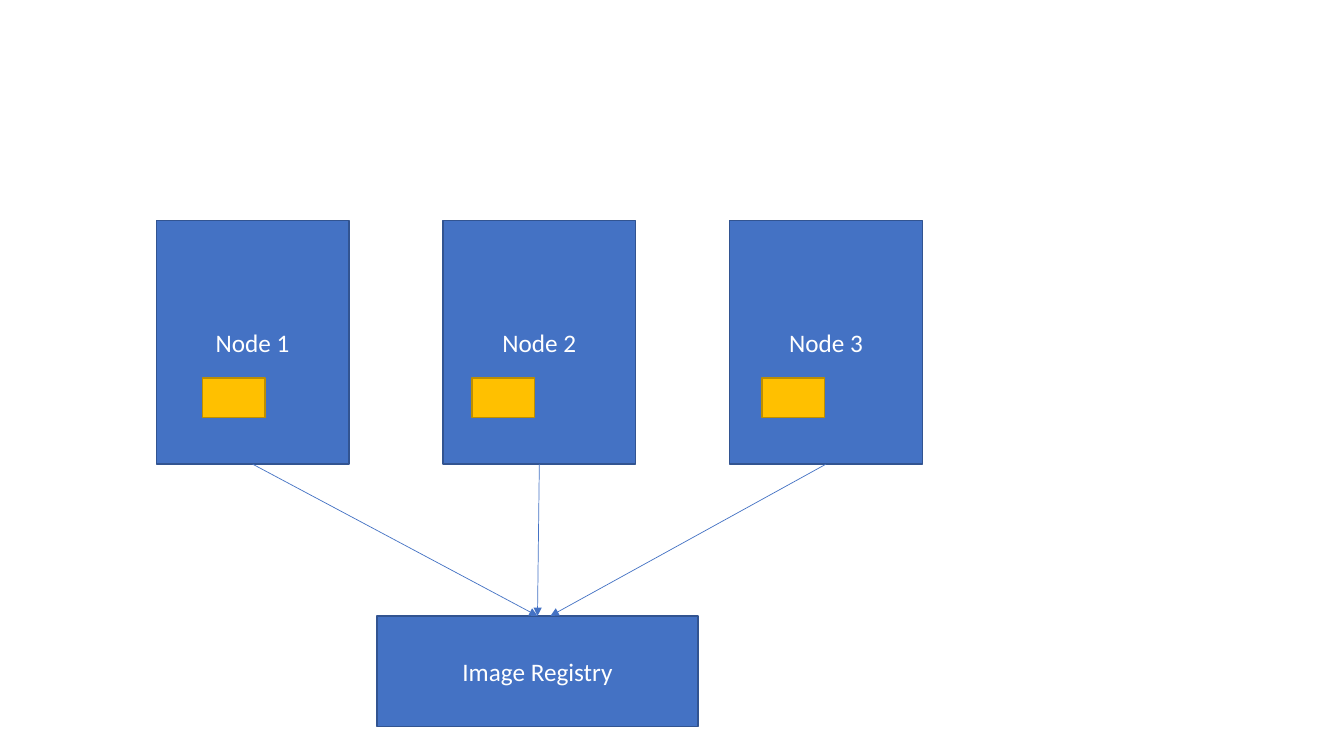
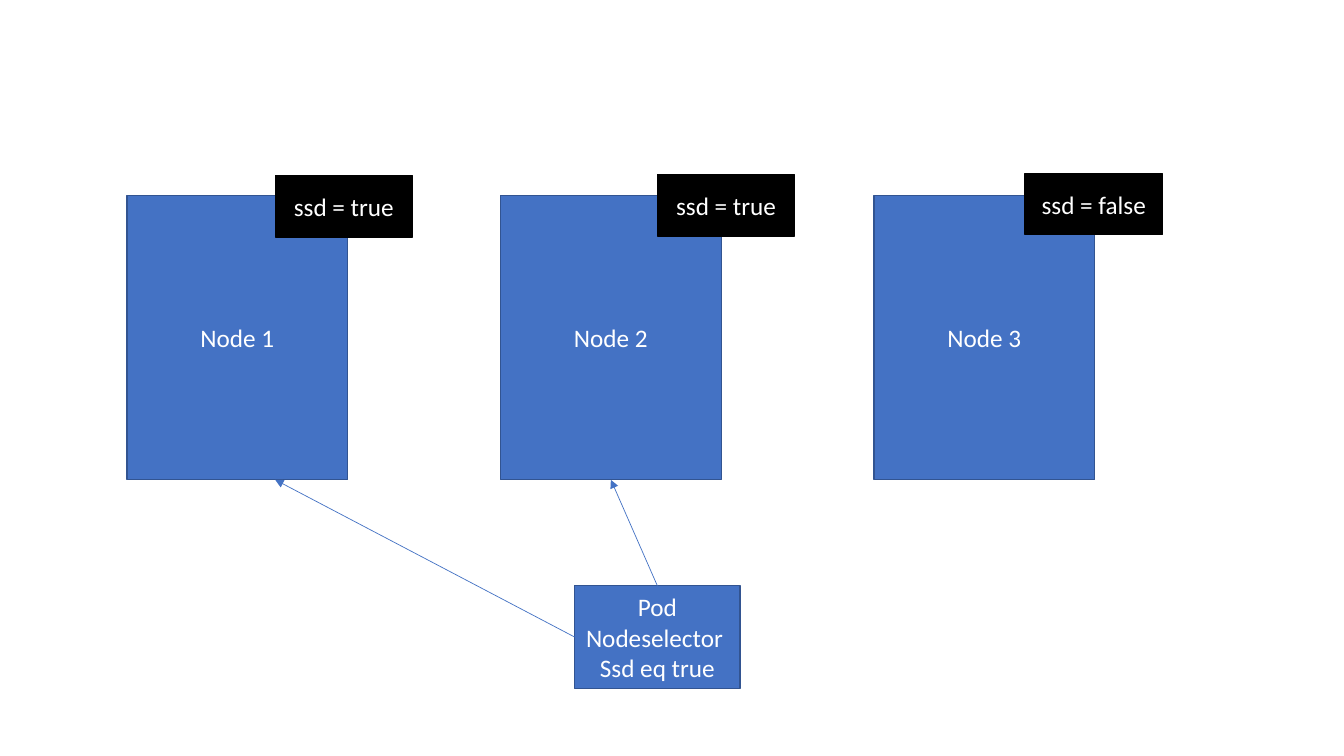
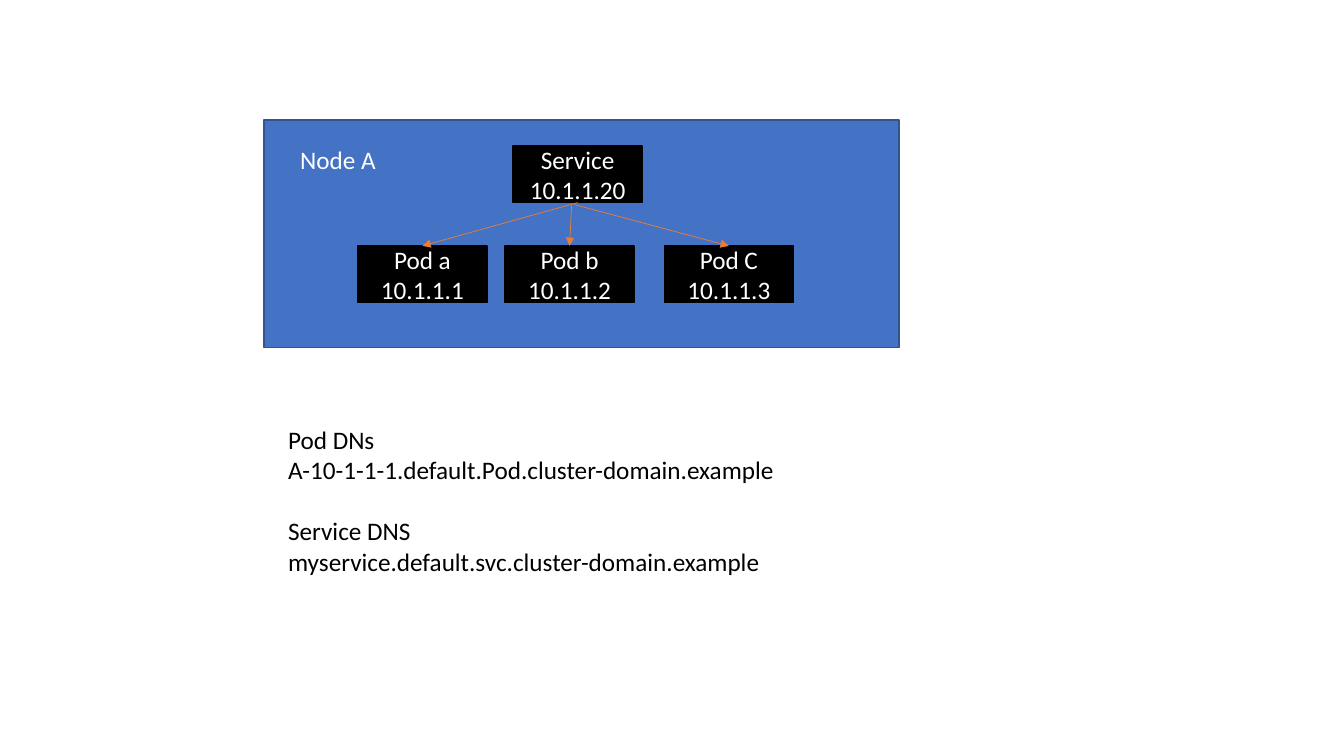
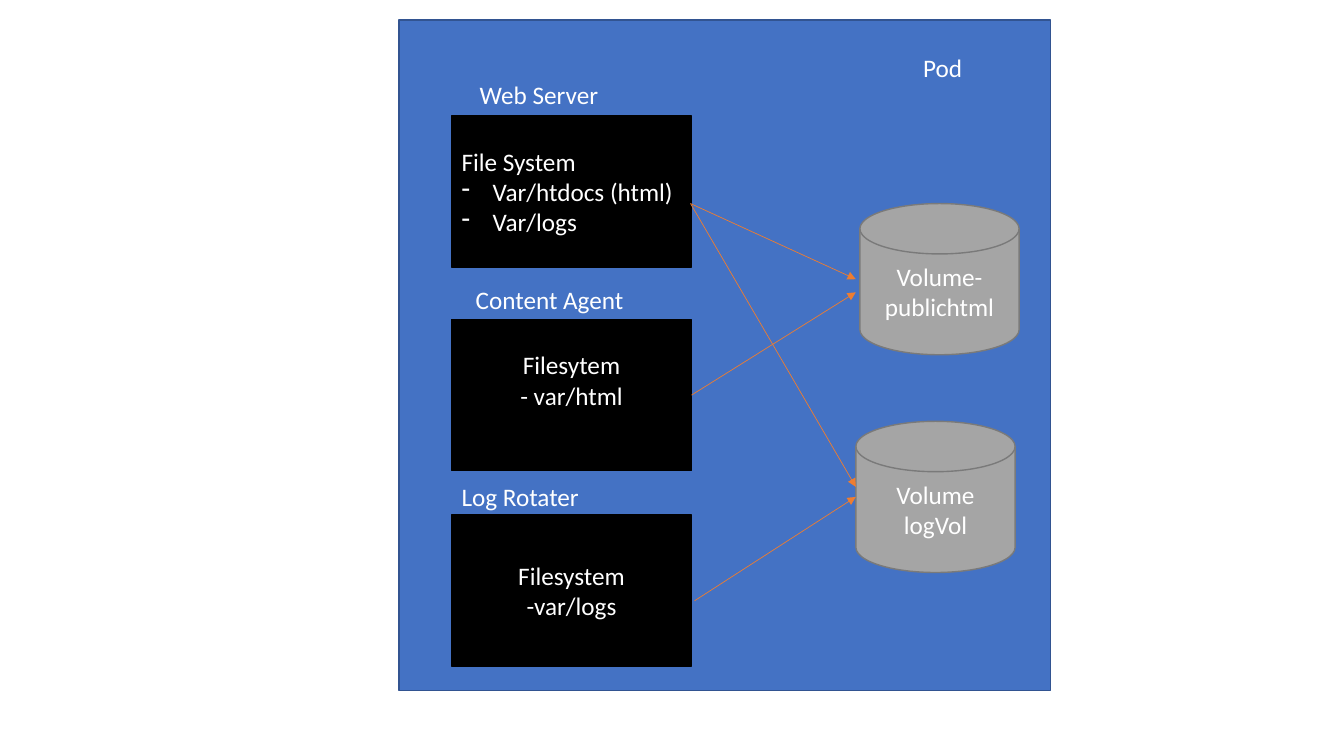
from dataclasses import dataclass

from lxml import etree
from pptx import Presentation
from pptx.dml.color import RGBColor
from pptx.enum.shapes import MSO_CONNECTOR, MSO_SHAPE
from pptx.enum.text import MSO_ANCHOR, PP_ALIGN
from pptx.oxml.ns import qn
from pptx.util import Inches, Pt

RECT = MSO_SHAPE.RECTANGLE
DISK = MSO_SHAPE.FLOWCHART_MAGNETIC_DISK
LINE = MSO_CONNECTOR.STRAIGHT
LEFT, CENTER = PP_ALIGN.LEFT, PP_ALIGN.CENTER
MIDDLE = MSO_ANCHOR.MIDDLE
TOP, WEST, BOTTOM, EAST = range(4)


@dataclass(frozen=True)
class Theme:
    font: str = "Calibri"
    size: float = 18
    edge: float = 1
    wire: float = 0.5
    white: str = "FFFFFF"
    ink: str = "000000"
    accent: str = "4472C4"
    orange: str = "ED7D31"
    blue: tuple = ("4472C4", "325491")
    black: tuple = ("000000", "000000")
    gold: tuple = ("FFC000", "BD8E00")
    gray: tuple = ("A5A5A5", "7A7A7A")


theme = Theme()
deck = Presentation()
deck.slide_width, deck.slide_height = Inches(13.333), Inches(7.5)
col, row = deck.slide_width / 100, deck.slide_height / 100


def box(slide, at, text="", paint=None, kind=RECT, align=CENTER, ink=theme.white):
    x, y, w, h = at
    place = round(x * col), round(y * row), round(w * col), round(h * row)
    if paint:
        shape = slide.shapes.add_shape(kind, *place)
        shape.shadow.inherit = False
        shape.fill.solid()
        shape.fill.fore_color.rgb = RGBColor.from_string(paint[0])
        shape.line.color.rgb = RGBColor.from_string(paint[1])
        shape.line.width = Pt(theme.edge)
        shape.text_frame.vertical_anchor = MIDDLE
    else:
        shape = slide.shapes.add_textbox(*place)
    if text:
        frame = shape.text_frame
        frame.word_wrap = True
        frame.text = text
        for para in frame.paragraphs:
            para.alignment = align
            for run in para.runs:
                run.font.name = theme.font
                run.font.size = Pt(theme.size)
                run.font.color.rgb = RGBColor.from_string(ink)
    return shape


def arrow(slide, start, end, color):
    wire = slide.shapes.add_connector(LINE, 0, 0, 0, 0)
    if isinstance(start[0], float):
        wire.begin_x, wire.begin_y = round(start[0] * col), round(start[1] * row)
    else:
        wire.begin_connect(*start)
    if isinstance(end[0], float):
        wire.end_x, wire.end_y = round(end[0] * col), round(end[1] * row)
    else:
        wire.end_connect(*end)
    wire.line.color.rgb = RGBColor.from_string(color)
    wire.line.width = Pt(theme.wire)
    props = wire.line._get_or_add_ln()
    etree.SubElement(props, qn("a:tailEnd"), type="triangle")
    etree.SubElement(wire._element.spPr, qn("a:effectLst"))


blank = deck.slide_layouts[6]

slide = deck.slides.add_slide(blank)
nodes = [
    box(slide, (11.63 + 21.33 * i, 29.2, 14.34, 32.2), f"Node {i + 1}", theme.blue)
    for i in range(3)
]
store = box(slide, (28.06, 81.47, 23.87, 14.67), "Image Registry", theme.blue)
for node, end in zip(nodes, [(store, TOP), (store, TOP), (40.96, 81.47)]):
    arrow(slide, (node, BOTTOM), end, theme.accent)
for x in (15.08, 35.12, 56.7):
    box(slide, (x, 50, 4.65, 5.2), paint=theme.gold)

slide = deck.slides.add_slide(blank)
nodes = [
    box(slide, (9.45 + 27.79 * i, 25.87, 16.43, 37.6), f"Node {i + 1}", theme.blue)
    for i in range(3)
]
pod = box(slide, (42.76, 77.47, 12.3, 13.6), "Pod\nNodeselector \nSsd eq true", theme.blue)
for x, y, state in ((20.48, 23.2, "true"), (48.92, 23.07, "true"), (76.28, 22.93, "false")):
    box(slide, (x, y, 10.2, 8.13), f"ssd = {state}", theme.black)
arrow(slide, (pod, WEST), (20.48, 63.47), theme.accent)
arrow(slide, (pod, TOP), (nodes[1], BOTTOM), theme.accent)

slide = deck.slides.add_slide(blank)
box(slide, (19.65, 15.87, 47.25, 30.13), paint=theme.blue)
box(slide, (21.6, 18.4, 16.13, 5.33), "Node A", align=LEFT)
hub = box(slide, (38.18, 19.33, 9.6, 7.47), "Service\n10.1.1.20", theme.black)
pods = (
    (26.63, "Pod a\n10.1.1.1", (hub, BOTTOM)),
    (37.58, "Pod b\n10.1.1.2", (42.53, 27.2)),
    (49.43, "Pod C\n10.1.1.3", (42.75, 27.07)),
)
for x, text, start in pods:
    pod = box(slide, (x, 32.53, 9.6, 7.47), text, theme.black)
    arrow(slide, start, (pod, TOP), theme.orange)
names = box(
    slide, (20.7, 55.47, 55.43, 21.6),
    "Pod DNs\nA-10-1-1-1.default.Pod.cluster-domain.example\n"
    "Service DNS\nmyservice.default.svc.cluster-domain.example",
    align=LEFT, ink=theme.ink,
)
names.text_frame.paragraphs[2].space_before = Pt(22)

slide = deck.slides.add_slide(blank)
box(slide, (29.7, 2.67, 48.45, 88.67), paint=theme.blue)
box(slide, (67.95, 6.27, 7.88, 5.33), "Pod", align=LEFT)
parts = (
    (15.33, "File System\nVar/htdocs (html)\nVar/logs", LEFT, 34.95, 9.87, "Web Server"),
    (42.27, "Filesytem\n- var/html", CENTER, 34.65, 36.93, "Content Agent"),
    (68.13, "Filesystem\n-var/logs", CENTER, 33.6, 63.07, "Log Rotater"),
)
cells = []
for y, text, align, left, top, label in parts:
    cells.append(box(slide, (33.6, y, 17.85, 20), text, theme.black, align=align))
    box(slide, (left, top, 13.05, 5.33), label, align=LEFT)
web, agent, logs = cells
for para in web.text_frame.paragraphs[1:]:
    props = para._p.get_or_add_pPr()
    props.set("marL", str(Inches(0.31)))
    props.set("indent", str(-Inches(0.31)))
    etree.SubElement(props, qn("a:buChar"), char="-")
agent.text_frame.margin_bottom = Inches(0.35)
for x, y, text in ((63.98, 26.93, "Volume-publichtml"), (63.68, 55.73, "Volume\nlogVol")):
    box(slide, (x, y, 11.85, 20), text, theme.gray, DISK)
routes = (
    ((agent, EAST), 38.67),
    ((51.38, 26.93), 36.93),
    ((51.38, 26.93), 64.4),
    ((51.68, 79.47), 65.73),
)
for start, y in routes:
    arrow(slide, start, (63.68, y), theme.orange)

deck.save("out.pptx")
